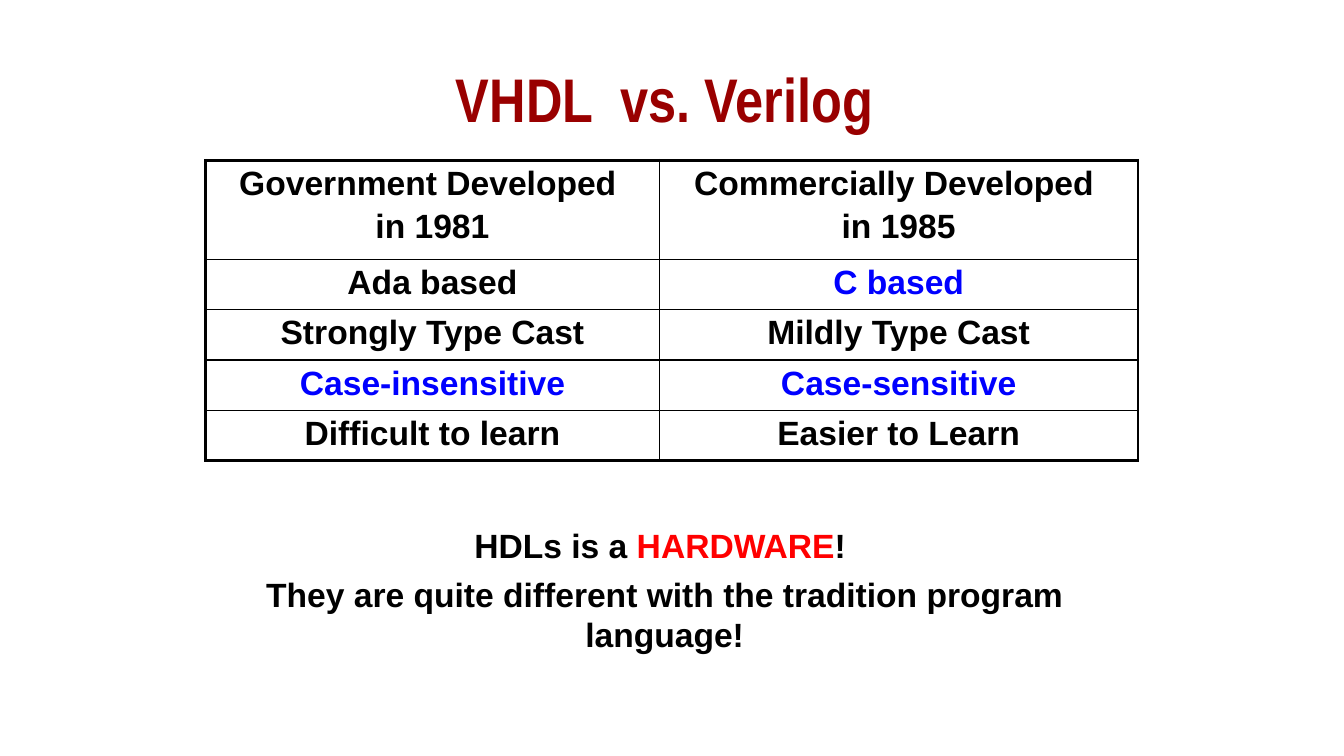
from dataclasses import dataclass

import lxml.etree
import pptx
import pptx.dml.color
import pptx.enum.text
import pptx.oxml.ns
import pptx.slide
import pptx.table
import pptx.text.text
import pptx.util

Pt = pptx.util.Pt
RGBColor = pptx.dml.color.RGBColor
CENTER = pptx.enum.text.PP_ALIGN.CENTER
MIDDLE = pptx.enum.text.MSO_ANCHOR.MIDDLE
qn = pptx.oxml.ns.qn

BLACK = RGBColor(0x00, 0x00, 0x00)
BLUE = RGBColor(0x00, 0x00, 0xFF)
RED = RGBColor(0xFF, 0x00, 0x00)
DARK_RED = RGBColor(0x99, 0x00, 0x00)

THIN = 1
THICK = 2.25


@dataclass(frozen=True)
class Trait:
    lines: tuple[str, ...]
    color: RGBColor = BLACK


@dataclass(frozen=True)
class Box:
    left: float
    top: float
    width: float
    height: float


COMPARISON = (
    (Trait(("Government Developed ", "in 1981")),
     Trait(("Commercially Developed ", "in 1985"))),
    (Trait(("Ada based",)), Trait(("C based",), BLUE)),
    (Trait(("Strongly Type Cast",)), Trait(("Mildly Type Cast",))),
    (Trait(("Case-insensitive",), BLUE), Trait(("Case-sensitive",), BLUE)),
    (Trait(("Difficult to learn",)), Trait(("Easier to Learn",))),
)
COLUMN_WIDTHS = (324, 342)
ROW_HEIGHTS = (70.6, 36, 36, 36, 36)
TITLE_BOX = Box(182.2, 43.2, 585.4, 59.8)
TABLE_BOX = Box(146.9, 114.5, sum(COLUMN_WIDTHS), sum(ROW_HEIGHTS))
CONCLUSION_BOX = Box(123.1, 371.5, 703.4, 71.3)


def style_paragraph(paragraph: pptx.text.text._Paragraph, size: float = 24,
                    face: str = "Arial") -> None:
    paragraph.alignment = CENTER
    paragraph.font.size = Pt(size)
    paragraph.font.name = face
    paragraph.font.bold = True


def add_text_frame(slide: pptx.slide.Slide, box: Box) -> pptx.text.text.TextFrame:
    frame = slide.shapes.add_textbox(
        Pt(box.left), Pt(box.top), Pt(box.width), Pt(box.height)).text_frame
    frame.word_wrap = True
    return frame


def draw_borders(cell: pptx.table._Cell, widths: dict[str, float]) -> None:
    properties = cell._tc.get_or_add_tcPr()
    for position, (edge, width) in enumerate(widths.items()):
        line = lxml.etree.Element(qn(f"a:{edge}"), w=str(int(Pt(width))))
        fill = lxml.etree.SubElement(line, qn("a:solidFill"))
        lxml.etree.SubElement(fill, qn("a:srgbClr"), val=str(BLACK))
        properties.insert(position, line)


def fill_cell(cell: pptx.table._Cell, trait: Trait) -> None:
    cell.fill.background()
    frame = cell.text_frame
    for index, line in enumerate(trait.lines):
        paragraph = frame.add_paragraph() if index else frame.paragraphs[0]
        paragraph.text = line
        style_paragraph(paragraph)
        paragraph.font.color.rgb = trait.color
        if index:
            paragraph.space_before = Pt(4)


def add_title(slide: pptx.slide.Slide) -> None:
    frame = add_text_frame(slide, TITLE_BOX)
    frame.vertical_anchor = MIDDLE
    title = frame.paragraphs[0]
    title.text = "VHDL  vs. Verilog"
    title.line_spacing = 0.9
    style_paragraph(title, 44, "Arial Narrow")
    title.font.color.rgb = DARK_RED


def add_comparison(slide: pptx.slide.Slide) -> None:
    last_row, last_column = len(ROW_HEIGHTS) - 1, len(COLUMN_WIDTHS) - 1
    table = slide.shapes.add_table(
        len(ROW_HEIGHTS), len(COLUMN_WIDTHS), Pt(TABLE_BOX.left),
        Pt(TABLE_BOX.top), Pt(TABLE_BOX.width), Pt(TABLE_BOX.height)).table
    table.first_row = False
    table.horz_banding = False
    for column, width in zip(table.columns, COLUMN_WIDTHS):
        column.width = Pt(width)
    for row, height in zip(table.rows, ROW_HEIGHTS):
        row.height = Pt(height)
    for r, traits in enumerate(COMPARISON):
        for c, trait in enumerate(traits):
            cell = table.cell(r, c)
            fill_cell(cell, trait)
            draw_borders(cell, {
                "lnL": THICK if c == 0 else THIN,
                "lnR": THICK if c == last_column else THIN,
                "lnT": THICK if r == 0 else THIN,
                "lnB": THICK if r == last_row else THIN,
            })


def add_conclusion(slide: pptx.slide.Slide) -> None:
    frame = add_text_frame(slide, CONCLUSION_BOX)
    claim, contrast = frame.paragraphs[0], frame.add_paragraph()
    for text, color in (("HDLs is a ", BLACK), ("HARDWARE", RED), ("! ", BLACK)):
        run = claim.add_run()
        run.text = text
        run.font.color.rgb = color
    contrast.text = "They are quite different with the tradition program language!"
    contrast.font.color.rgb = BLACK
    for paragraph in (claim, contrast):
        style_paragraph(paragraph)
        paragraph.space_before = Pt(6)


def main() -> None:
    presentation = pptx.Presentation()
    presentation.slide_width = Pt(960)
    presentation.slide_height = Pt(540)
    slide = presentation.slides.add_slide(presentation.slide_layouts[6])
    add_title(slide)
    add_comparison(slide)
    add_conclusion(slide)
    presentation.save("out.pptx")


if __name__ == "__main__":
    main()
